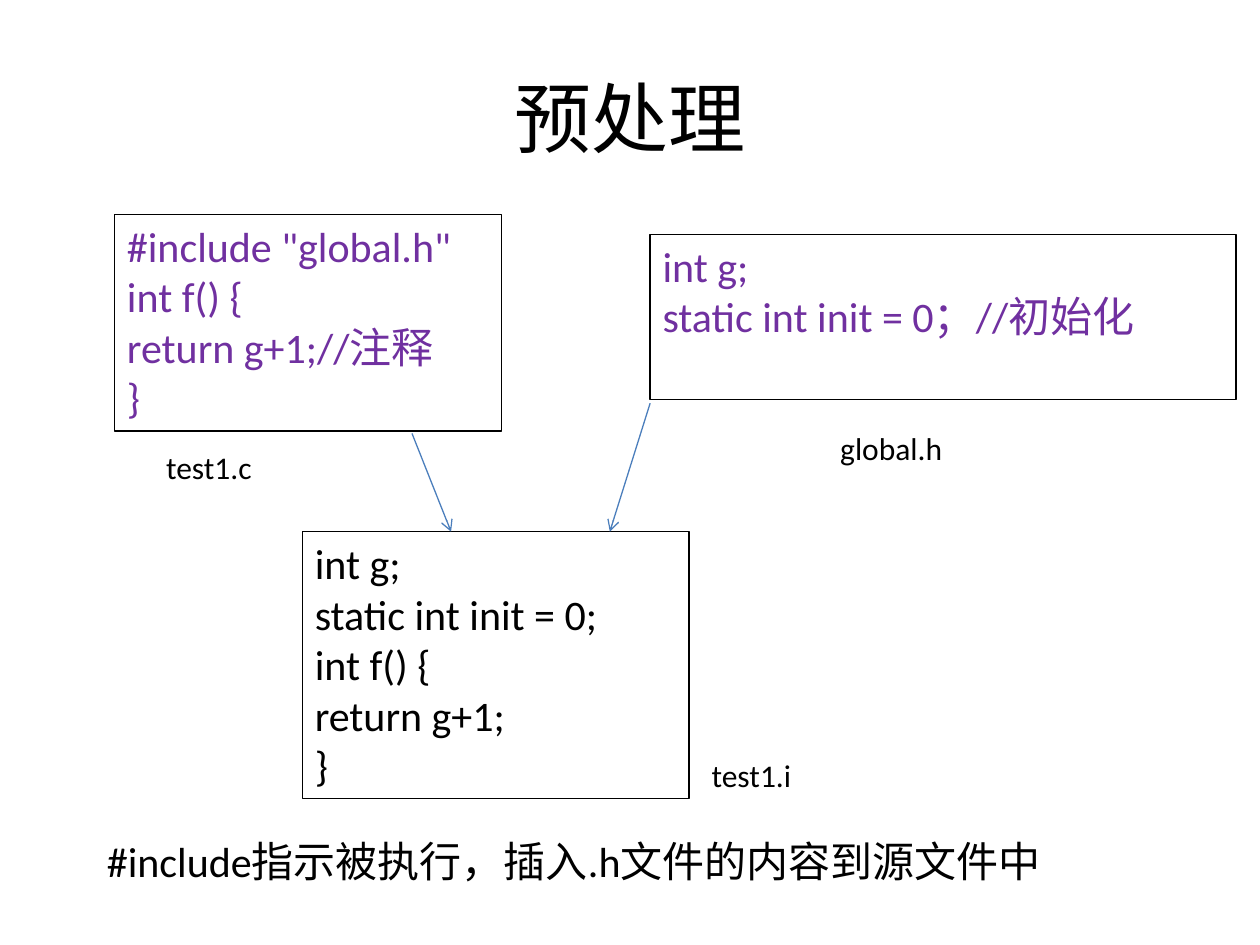
import pptx
import pptx.dml.color
import pptx.enum.shapes
import pptx.enum.text
import pptx.oxml.ns
import pptx.util
from lxml import etree

Inches = pptx.util.Inches
Pt = pptx.util.Pt

COLORS = {"text": "000000", "source": "7030A0", "arrow": "4B7EBC"}


def rgb(name):
    return pptx.dml.color.RGBColor.from_string(COLORS[name])


class SlideBuilder:
    font = "Calibri"
    line_width = Pt(0.75)

    def __init__(self, s):
        self.s = s

    def place(self, sp, at):
        for name, value in zip(("left", "top", "width", "height"), at):
            setattr(sp, name, Inches(value))

    def set_text(self, sp, lines, size, color="text", align="LEFT", anchor="TOP", wrap=True):
        tf = sp.text_frame
        frame_format = {
            "word_wrap": wrap,
            "auto_size": pptx.enum.text.MSO_AUTO_SIZE.NONE,
            "vertical_anchor": getattr(pptx.enum.text.MSO_ANCHOR, anchor),
        }
        for name, value in frame_format.items():
            setattr(tf, name, value)
        for i, line in enumerate(lines):
            p = tf.paragraphs[0] if i == 0 else tf.add_paragraph()
            p.alignment = getattr(pptx.enum.text.PP_ALIGN, align)
            r = p.add_run()
            r.text = line
            for name, value in {"name": self.font, "size": Pt(size)}.items():
                setattr(r.font, name, value)
            r.font.color.rgb = rgb(color)

    def title(self, text, at):
        sp = self.s.shapes.title
        self.place(sp, at)
        self.set_text(sp, [text], 44, align="CENTER", anchor="MIDDLE")

    def code_box(self, lines, at, color="text"):
        sp = self.s.shapes.add_shape(
            pptx.enum.shapes.MSO_SHAPE.RECTANGLE, *map(Inches, at))
        sp.shadow.inherit = False
        sp.fill.background()
        sp.line.color.rgb = rgb("text")
        sp.line.width = self.line_width
        self.set_text(sp, lines, 24, color)

    def label(self, text, at, size=18, wrap=False):
        sp = self.s.shapes.add_textbox(*map(Inches, at))
        self.set_text(sp, [text], size, wrap=wrap)

    def arrow(self, start, end):
        sp = self.s.shapes.add_connector(
            pptx.enum.shapes.MSO_CONNECTOR.STRAIGHT, *map(Inches, start + end))
        sp.line.color.rgb = rgb("arrow")
        sp.line.width = self.line_width
        qn = pptx.oxml.ns.qn
        etree.SubElement(sp.get_or_add_ln(), qn("a:tailEnd"), type="arrow")
        etree.SubElement(sp._element.spPr, qn("a:effectLst"))


def main():
    prs = pptx.Presentation()
    prs.slide_width, prs.slide_height = Inches(10), Inches(7.5)
    b = SlideBuilder(prs.slides.add_slide(prs.slide_layouts[5]))

    b.title("预处理", (0.5, 0.3, 9, 1.25))

    # Source file and header
    b.code_box(['#include "global.h"', "int f() {", "return g+1;//注释", "}"],
               (0.91, 1.7, 3.07, 1.72), "source")
    b.code_box(["int g;", "static int init = 0；//初始化"],
               (5.16, 1.86, 4.65, 1.31), "source")

    # Preprocessed result
    b.code_box(["int g;", "static int init = 0;", "int f() {", "return g+1;", "}"],
               (2.4, 4.22, 3.07, 2.12))

    # Explanation
    b.label("#include指示被执行，插入.h文件的内容到源文件中",
            (0.75, 6.58, 8.11, 0.5), size=24, wrap=True)

    # File names
    b.label("test1.c", (1.22, 3.51, 0.89, 0.4))
    b.label("global.h", (6.57, 3.36, 1.02, 0.4))
    b.label("test1.i", (5.55, 5.95, 0.84, 0.4))

    # Arrows into the result
    b.arrow((3.27, 3.44), (3.58, 4.22))
    b.arrow((5.16, 3.2), (4.84, 4.22))

    prs.save("out.pptx")


if __name__ == "__main__":
    main()
